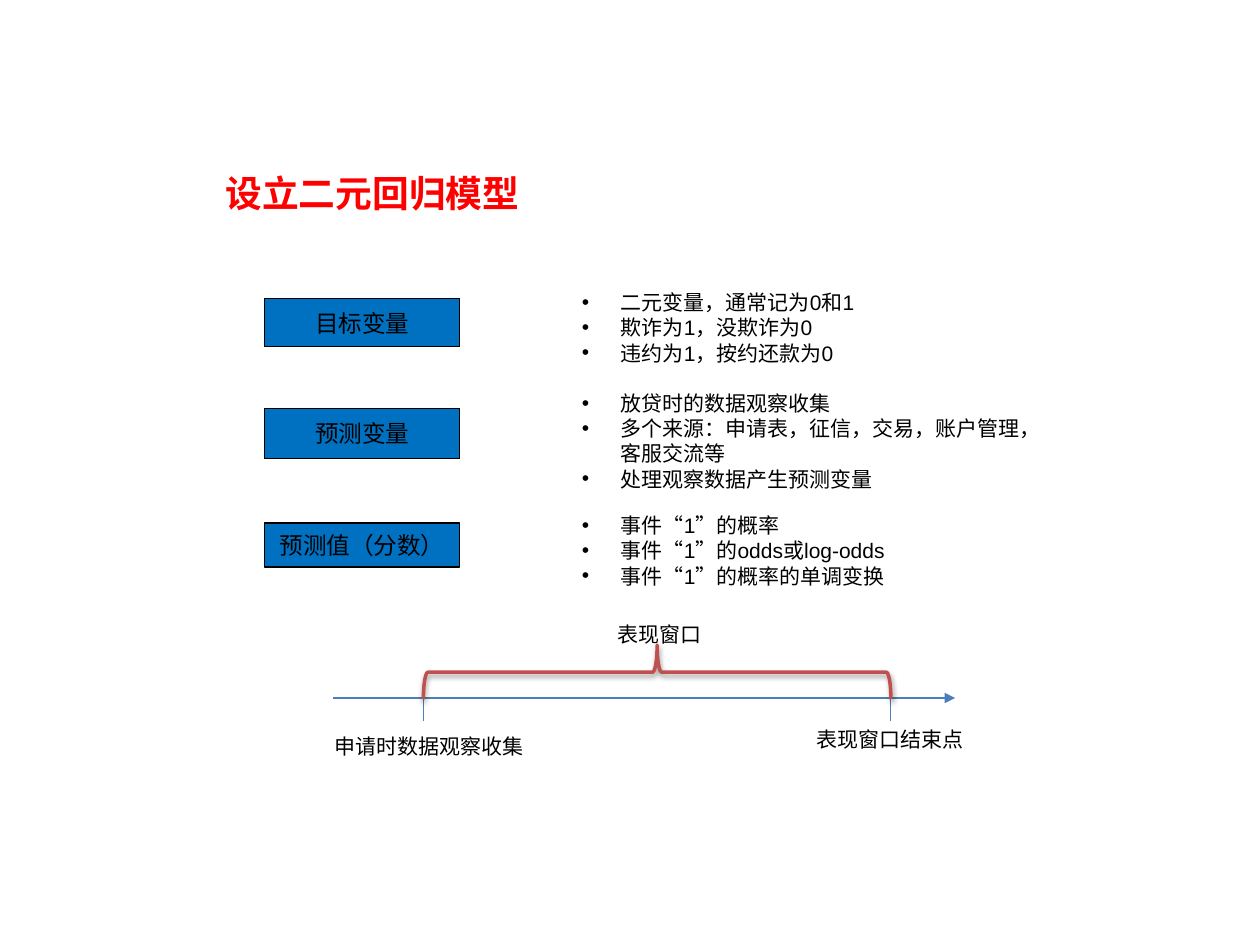
import pptx
import pptx.dml.color
import pptx.enum.shapes
import pptx.enum.text
import pptx.oxml
import pptx.oxml.ns
import pptx.util
from pptx.util import Inches

SHAPES = pptx.enum.shapes.MSO_SHAPE
ALIGN = pptx.enum.text.PP_ALIGN
ANCHOR = pptx.enum.text.MSO_ANCHOR
BLACK, RED, BLUE = "000000", "FF0000", "0070C0"
AXIS, BRACE = "4B7EBC", "C0504D"
INDENT = Inches(0.31)


def color(value):
    return pptx.dml.color.RGBColor.from_string(value)


def add_xml(parent, tag, content="", attributes=""):
    namespace = pptx.oxml.ns.nsdecls("a")
    parent.append(pptx.oxml.parse_xml(
        f"<a:{tag} {namespace} {attributes}>{content}</a:{tag}>"))


def write_text(frame, text, size=12, font="Calibri", ink=BLACK, bold=False,
               align=ALIGN.LEFT, bullet=False):
    for index, line in enumerate(text.split("\n")):
        para = frame.add_paragraph() if index else frame.paragraphs[0]
        para.alignment = align
        if bullet:
            properties = para._p.get_or_add_pPr()
            properties.set("marL", str(INDENT))
            properties.set("indent", str(-INDENT))
            add_xml(properties, "buFont", attributes='typeface="Arial"')
            add_xml(properties, "buChar", attributes='char="•"')
        span = para.add_run()
        span.text = line
        span.font.size = pptx.util.Pt(size)
        span.font.name = font
        span.font.bold = bold
        span.font.color.rgb = color(ink)


def add_text(page, left, top, width, height, text, wrap=False, **style):
    box = page.shapes.add_textbox(
        Inches(left), Inches(top), Inches(width), Inches(height))
    box.text_frame.word_wrap = wrap
    write_text(box.text_frame, text, **style)


def add_line(page, x1, y1, x2, y2, arrow=False):
    line = page.shapes.add_connector(
        pptx.enum.shapes.MSO_CONNECTOR.STRAIGHT,
        Inches(x1), Inches(y1), Inches(x2), Inches(y2))
    line.line.color.rgb = color(AXIS)
    line.line.width = pptx.util.Pt(0.75)
    if arrow:
        add_xml(line.line._get_or_add_ln(), "tailEnd", attributes='type="triangle"')
    add_xml(line._element.spPr, "effectLst")


def add_brace(page, left, top, width, height):
    # A left brace turned by 90 degrees about the centre of its box
    brace = page.shapes.add_shape(
        SHAPES.LEFT_BRACE,
        Inches(left + (width - height) / 2), Inches(top + (height - width) / 2),
        Inches(height), Inches(width))
    brace.rotation = 90
    brace.fill.background()
    brace.line.color.rgb = color(BRACE)
    brace.line.width = pptx.util.Pt(2)
    blur, distance = pptx.util.Pt(3.1), pptx.util.Pt(1.6)
    add_xml(brace._element.spPr, "effectLst",
            f'<a:outerShdw blurRad="{blur}" dist="{distance}" dir="5400000" '
            'rotWithShape="0"><a:srgbClr val="000000"><a:alpha val="38000"/>'
            '</a:srgbClr></a:outerShdw>')


def add_timeline(page, left, top, width):
    axis = top + 0.66
    start, end = left + 0.72, left + 4.43
    add_line(page, left, axis, left + width, axis, arrow=True)
    for tick in (start, end):
        add_line(page, tick, axis - 0.15, tick, axis + 0.18)
    add_text(page, left - 0.08, axis + 0.23, 1.72, 0.3, "申请时数据观察收集")
    add_text(page, left + 3.74, axis + 0.18, 1.38, 0.3, "表现窗口结束点")
    add_brace(page, start, axis - 0.42, end - start, 0.43)
    add_text(page, left + 2.16, top, 0.88, 0.3, "表现窗口")


def add_concept(page, top, height, name, notes_top, notes_width, notes_height, notes):
    label = page.shapes.add_shape(
        SHAPES.RECTANGLE, Inches(2.1), Inches(top), Inches(1.55), Inches(height))
    label.shadow.inherit = False
    label.fill.solid()
    label.fill.fore_color.rgb = color(BLUE)
    label.line.color.rgb = color(BLACK)
    label.line.width = pptx.util.Pt(0.75)
    frame = label.text_frame
    frame.margin_left = frame.margin_right = frame.margin_top = frame.margin_bottom = 0
    frame.vertical_anchor = ANCHOR.MIDDLE
    write_text(frame, name, size=13.5, align=ALIGN.CENTER)
    add_text(page, 4.52, notes_top, notes_width, notes_height, notes,
             wrap=True, font="Arial", bullet=True)


CONCEPTS = [
    (2.37, 0.38, "目标变量", 2.25, 3.36, 0.71,
     "二元变量，通常记为0和1\n欺诈为1，没欺诈为0\n违约为1，按约还款为0"),
    (3.24, 0.4, "预测变量", 3.05, 3.77, 0.91,
     "放贷时的数据观察收集\n多个来源：申请表，征信，交易，账户管理，客服交流等\n"
     "处理观察数据产生预测变量"),
    (4.15, 0.35, "预测值（分数）", 4.02, 3.36, 0.71,
     "事件“1”的概率\n事件“1”的odds或log-odds\n事件“1”的概率的单调变换"),
]


def main():
    deck = pptx.Presentation()
    deck.slide_width, deck.slide_height = Inches(10), Inches(7.5)
    page = deck.slides.add_slide(deck.slide_layouts[6])

    # Observation and performance window
    add_timeline(page, 2.64, 4.88, 4.94)

    # Named variables with their notes
    for concept in CONCEPTS:
        add_concept(page, *concept)

    # Title
    add_text(page, 1.69, 1.31, 2.56, 0.45, "设立二元回归模型",
             size=21, ink=RED, bold=True)
    deck.save("out.pptx")


if __name__ == "__main__":
    main()
